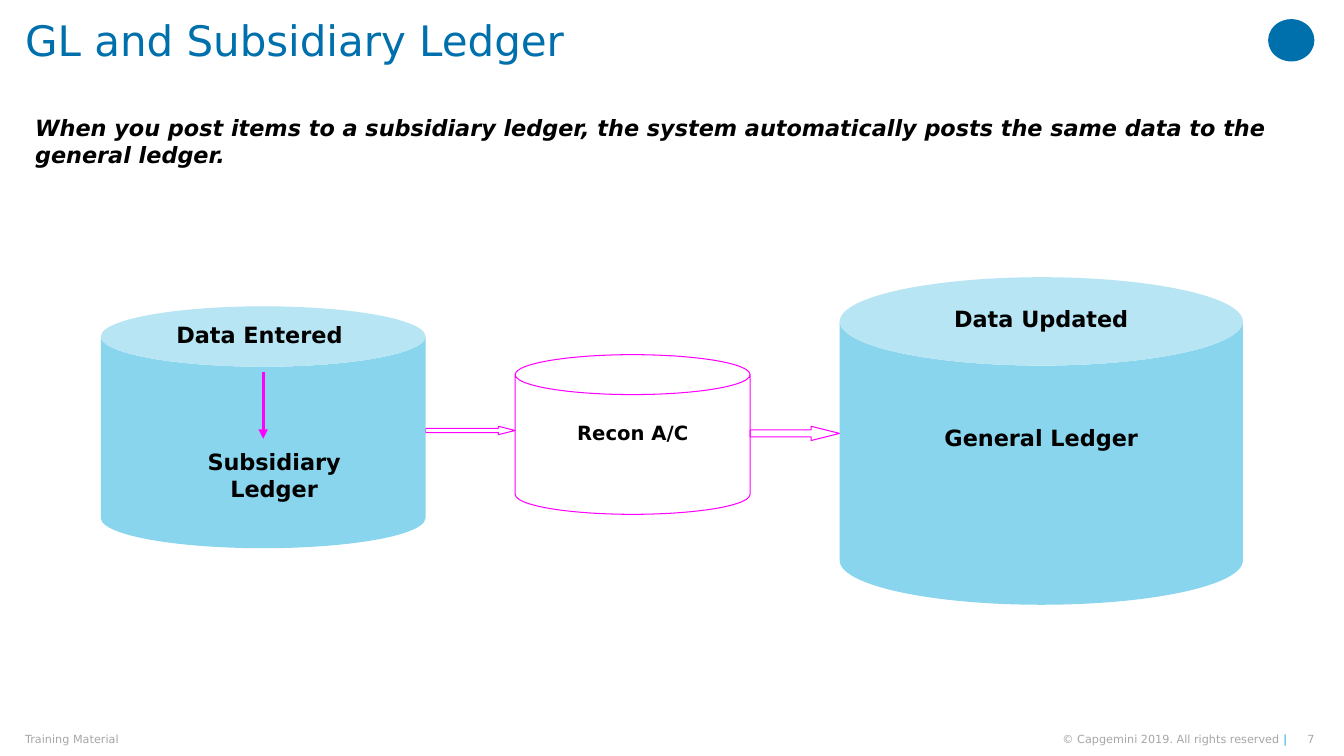
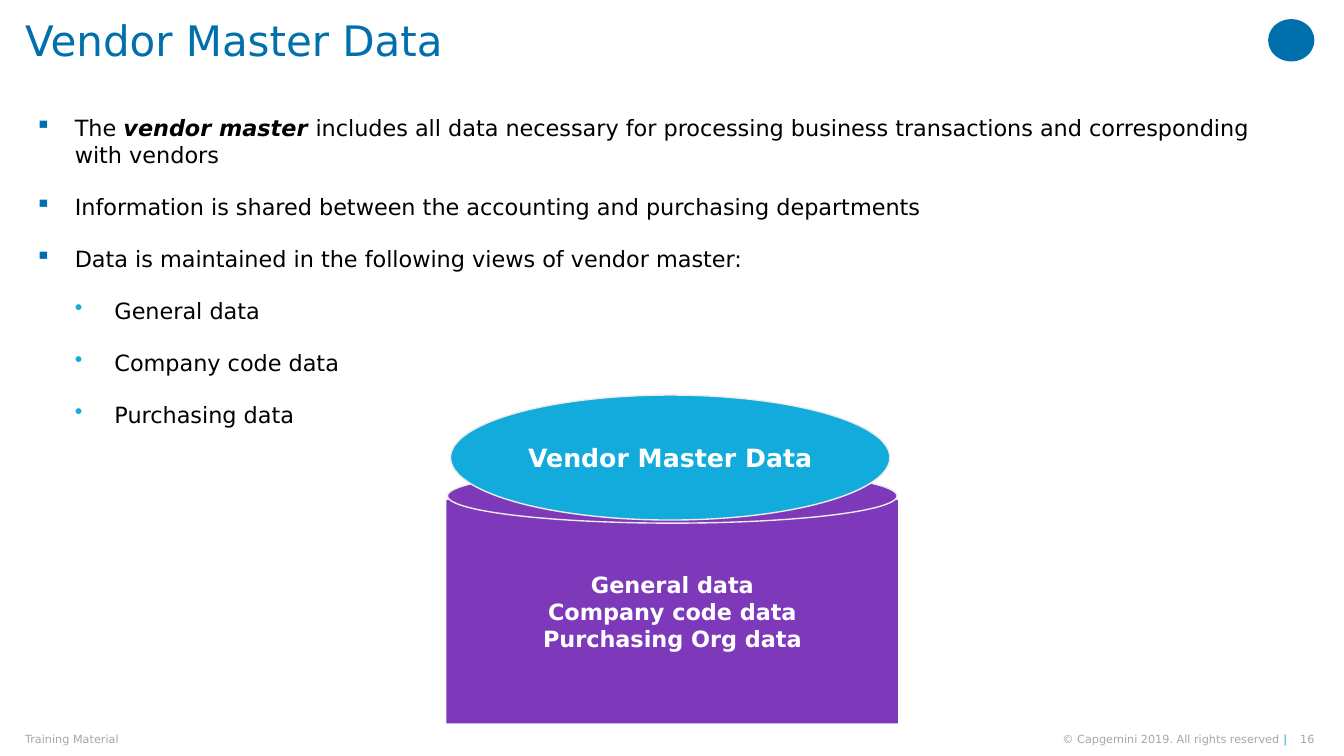
from dataclasses import dataclass

from lxml.etree import SubElement
from pptx import Presentation
from pptx.dml.color import RGBColor
from pptx.enum.shapes import MSO_CONNECTOR as Connector, MSO_SHAPE as Shape
from pptx.enum.text import MSO_ANCHOR as Anchor, PP_ALIGN as Align
from pptx.oxml.ns import qn
from pptx.util import Pt


@dataclass(frozen=True)
class Theme:
    font: str = "DejaVu Sans"
    blue: str = "0070AD"
    cyan: str = "12ABDB"
    sky: str = "88D5ED"
    magenta: str = "FF00FF"
    purple: str = "7E39BA"
    pale: str = "ECECEC"
    grey: str = "A6A6A6"
    black: str = "000000"
    white: str = "FFFFFF"
    title_size: float = 30
    heading_size: float = 18
    body_size: float = 16
    label_size: float = 14
    footer_size: float = 8


THEME = Theme()
BULLETS = (("▪", THEME.blue), ("•", THEME.cyan))
BULLET_INDENT = 28.35


def set_bullet(para, level):
    symbol, color = BULLETS[level]
    para.level = level
    properties = para._p.get_or_add_pPr()
    properties.set("marL", str(Pt(BULLET_INDENT * (level + 1))))
    properties.set("indent", str(-Pt(BULLET_INDENT)))
    bullet_color = SubElement(properties, qn("a:buClr"))
    SubElement(bullet_color, qn("a:srgbClr")).set("val", color)
    SubElement(properties, qn("a:buChar")).set("char", symbol)


def write(frame, *paragraphs, size=THEME.body_size, color=THEME.black, bold=False,
          italic=False, align=Align.LEFT, anchor=Anchor.TOP, insets=(7.2, 3.6, 7.2, 3.6),
          spacing=None, gap=0, levels=None):
    frame.word_wrap = True
    frame.vertical_anchor = anchor
    (frame.margin_left, frame.margin_top,
     frame.margin_right, frame.margin_bottom) = map(Pt, insets)
    for index, spans in enumerate(paragraphs):
        para = frame.add_paragraph() if index else frame.paragraphs[0]
        if levels:
            set_bullet(para, levels[index])
        para.alignment = align
        if spacing:
            para.line_spacing = spacing
        if index and gap:
            para.space_before = Pt(gap)
        for text, changes in [(spans, {})] if isinstance(spans, str) else spans:
            span = para.add_run()
            span.text = text
            span.font.name = THEME.font
            span.font.size = Pt(size)
            span.font.bold = changes.get("bold", bold)
            span.font.italic = changes.get("italic", italic)
            span.font.color.rgb = RGBColor.from_string(changes.get("color", color))


class Deck:
    def __init__(self):
        self.deck = Presentation()
        self.deck.slide_width, self.deck.slide_height = Pt(960), Pt(540)
        self.page = None

    def start_page(self, title, number):
        self.page = self.deck.slides.add_slide(self.deck.slide_layouts[6])
        self.shape(Shape.OVAL, 905.8, 13.7, 33.1, 30.2, fill=THEME.blue)
        self.footer(920, 18.9, str(number), align=Align.RIGHT)
        self.footer(709.9, 209.5, [("© Capgemini 2019. All rights reserved ", {}),
                                   ("|", {"color": THEME.cyan})], align=Align.RIGHT)
        self.footer(18, 371.5, "Training Material")
        self.text(18, 0, 876.2, 56.9, title, size=THEME.title_size, color=THEME.blue,
                  insets=(0, 14.4, 0, 0), spacing=0.9)

    def text(self, left, top, width, height, *paragraphs, **style):
        box = self.page.shapes.add_textbox(Pt(left), Pt(top), Pt(width), Pt(height))
        write(box.text_frame, *paragraphs, **style)

    def footer(self, left, width, content, **style):
        self.text(left, 523.4, width, 9.4, content, size=THEME.footer_size,
                  color=THEME.grey, anchor=Anchor.MIDDLE, insets=(0, 0, 0, 0), **style)

    def label(self, left, top, width, height, content, **style):
        self.text(left, top, width, height, content, bold=True, align=Align.CENTER, **style)

    def shape(self, kind, left, top, width, height, fill=None, line=None, weight=0.75,
              adjust=(), words=(), **style):
        shape = self.page.shapes.add_shape(kind, Pt(left), Pt(top), Pt(width), Pt(height))
        shape.shadow.inherit = False
        for index, value in enumerate(adjust):
            shape.adjustments[index] = value
        for paint, color in ((shape.fill, fill), (shape.line.fill, line)):
            if color:
                paint.solid()
                paint.fore_color.rgb = RGBColor.from_string(color)
            else:
                paint.background()
        if line:
            shape.line.width = Pt(weight)
        if words:
            write(shape.text_frame, *words, color=THEME.white, bold=True,
                  align=Align.CENTER, anchor=Anchor.MIDDLE, insets=(0, 0, 0, 0), **style)

    def arrow(self, x1, y1, x2, y2, color, weight):
        arrow = self.page.shapes.add_connector(Connector.STRAIGHT,
                                               Pt(x1), Pt(y1), Pt(x2), Pt(y2))
        arrow.line.color.rgb = RGBColor.from_string(color)
        arrow.line.width = Pt(weight)
        SubElement(arrow.line._get_or_add_ln(), qn("a:tailEnd")).set("type", "triangle")
        SubElement(arrow._element.spPr, qn("a:effectLst"))


def build_ledgers(deck):
    deck.start_page("GL and Subsidiary Ledger", 7)
    deck.text(18, 77.8, 924.5, 46,
              "When you post items to a subsidiary ledger, the system automatically "
              "posts the same data to the general ledger.", bold=True, italic=True)
    for left, top, height in ((304, 304.5, 6), (535.8, 304.5, 10.2)):
        deck.shape(Shape.RIGHT_ARROW, left, top, 64, height,
                   line=THEME.magenta, adjust=(0.5, 2))
    deck.shape(Shape.CAN, 368, 253.4, 167.8, 114, line=THEME.magenta, adjust=(0.25,))
    deck.label(380, 297.4, 144, 24.5, "Recon A/C", size=THEME.label_size)
    deck.shape(Shape.CAN, 599.8, 198, 288, 234, fill=THEME.sky, adjust=(0.27,))
    deck.label(635.8, 299.5, 216, 26.6, "General Ledger")
    deck.label(635.8, 214.6, 216, 26.6, "Data Updated")
    deck.shape(Shape.CAN, 72, 218.8, 232, 172.8, fill=THEME.sky, adjust=(0.25,))
    deck.label(97.5, 226.2, 175.7, 26.6, "Data Entered")
    deck.label(111.6, 316.8, 168.5, 46, "Subsidiary Ledger")
    deck.arrow(188, 265.6, 188, 313.4, THEME.magenta, 2.25)


def build_vendor_master(deck):
    deck.start_page("Vendor Master Data", 16)
    deck.text(18, 77.8, 920.2, 234,
              [("The ", {}), ("vendor master ", {"bold": True, "italic": True}),
               ("includes all data necessary for processing business transactions "
                "and corresponding with vendors", {})],
              "Information is shared between the accounting and purchasing departments",
              "Data is maintained in the following views of vendor master:",
              "General data", "Company code data", "Purchasing data",
              gap=18, levels=(0, 0, 0, 1, 1, 1))
    deck.shape(Shape.RECTANGLE, 318.8, 357, 322.6, 159.8, fill=THEME.purple)
    deck.shape(Shape.OVAL, 319.6, 334.8, 321.2, 38.9, fill=THEME.purple,
               line=THEME.pale, weight=1)
    deck.shape(Shape.OVAL, 321.8, 282.2, 313.9, 89.3, fill=THEME.cyan, line=THEME.pale,
               weight=1, words=("Vendor Master Data",), size=THEME.heading_size)
    deck.shape(Shape.RECTANGLE, 344.2, 396.7, 272.2, 80.6, fill=THEME.purple,
               words=("General data", "Company code data", "Purchasing Org data"))


def main():
    deck = Deck()
    build_ledgers(deck)
    build_vendor_master(deck)
    deck.deck.save("out.pptx")


if __name__ == "__main__":
    main()
